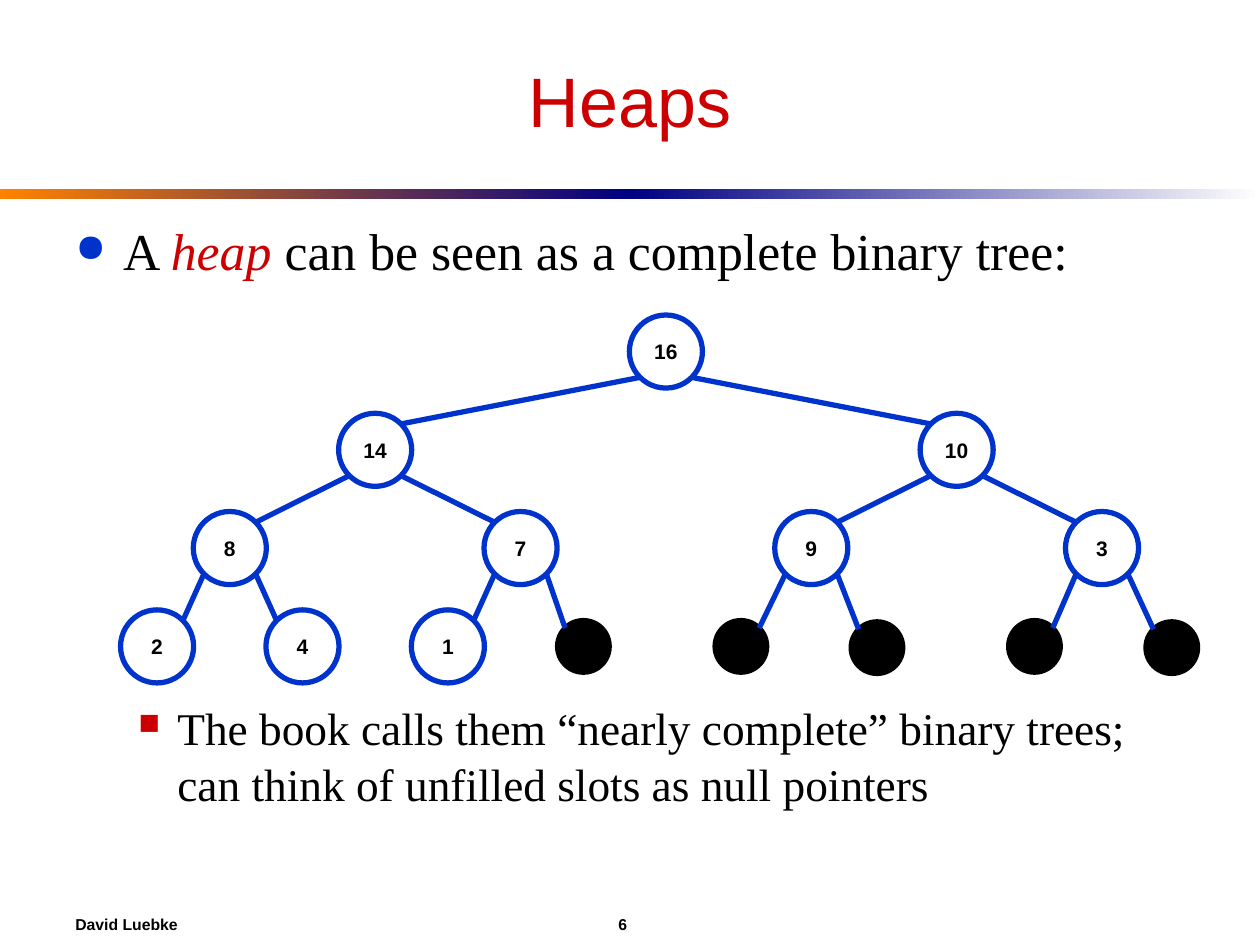
"""Build a slide that shows a heap as a complete binary tree."""
import math

from lxml import etree
from pptx import Presentation
from pptx.dml import color
from pptx.enum import shapes, text
from pptx.oxml import ns
from pptx.util import Inches, Pt

TITLE = "Heaps"
BULLETS = [
    dict(mark="●", mark_color="accent", mark_size=75, indent=0.38, hang=0.38,
         size="body", before=0,
         runs=[("A ", False), ("heap", True),
               (" can be seen as a complete binary tree:", False)]),
    dict(mark="■", mark_color="key", mark_size=65, indent=0.81, hang=0.31,
         size="detail", before=238,
         runs=[("The book calls them “nearly complete” binary trees; "
                "can think of unfilled slots as null pointers", False)]),
]
HEAP = ["16", "14", "10", "8", "7", "9", "3", "2", "4", "1"]
NULL_CENTERS = [(4.63, 5.13), (5.88, 5.13), (6.96, 5.14), (8.21, 5.13), (9.3, 5.14)]
FOOTER = "David Luebke\t6"
THEME = dict(
    ink="000000", paper="FFFFFF", accent="0033CC", key="CC0000",
    bar=["FF8200", "000082", "FFFFFF"],
    heading_font="Arial", body_font="Times New Roman",
    title=40, body=29.6, detail=25.9, node=12, footer=9, line=3,
)
TREE_LEFT, TREE_WIDTH, ROOT_Y, LEVEL_GAP = 0.67, 9.23, 2.79, 0.78
NODE_SIZE, NULL_SIZE = 0.58, 0.41


def rgb(name):
    return color.RGBColor.from_string(THEME.get(name, name))


def assign(target, **values):
    for key, value in values.items():
        setattr(target, key, value)


def write(paragraph, words, size, font="heading_font", ink="ink", **style):
    run = paragraph.add_run()
    run.text = words
    assign(run.font, name=THEME[font], size=Pt(THEME[size]), **style)
    run.font.color.rgb = rgb(ink)


def add_box(slide, left, top, width, height, **frame_values):
    frame = slide.shapes.add_textbox(*map(Inches, (left, top, width, height))).text_frame
    assign(frame, word_wrap=True, **frame_values)
    return frame


def add_child(paragraph, parent, tag, **values):
    child = etree.SubElement(parent, ns.qn(tag))
    for key, value in values.items():
        child.set(key, str(value))
    return child


def add_bullet(paragraph, bullet):
    props = paragraph._p.get_or_add_pPr()
    assign(paragraph, line_spacing=1.04, space_before=Pt(bullet["before"]))
    props.set("marL", str(Inches(bullet["indent"])))
    props.set("indent", str(-Inches(bullet["hang"])))
    tint = add_child(paragraph, props, "a:buClr")
    add_child(paragraph, tint, "a:srgbClr", val=THEME[bullet["mark_color"]])
    add_child(paragraph, props, "a:buSzPct", val=bullet["mark_size"] * 1000)
    add_child(paragraph, props, "a:buChar", char=bullet["mark"])
    for words, is_term in bullet["runs"]:
        write(paragraph, words, bullet["size"], "body_font",
              "key" if is_term else "ink", italic=is_term)


def add_bar(slide):
    for half, ends in enumerate(zip(THEME["bar"], THEME["bar"][1:])):
        bar = slide.shapes.add_shape(shapes.MSO_SHAPE.RECTANGLE, Inches(5 * half),
                                     Inches(1.5), Inches(5), Inches(0.08))
        bar.shadow.inherit = False
        bar.line.fill.background()
        bar.fill.gradient()
        bar.fill.gradient_angle = 0
        for position, (stop, end) in enumerate(zip(bar.fill.gradient_stops, ends)):
            stop.color.rgb = rgb(end)
            stop.position = position


def slot_center(index):
    if index >= len(HEAP):
        return NULL_CENTERS[index - len(HEAP)]
    level = int(math.log2(index + 1))
    place = index + 1 - 2 ** level
    return (TREE_LEFT + TREE_WIDTH * (2 * place + 1) / 2 ** (level + 1),
            ROOT_Y + LEVEL_GAP * level)


def slot_size(index):
    return NODE_SIZE if index < len(HEAP) else NULL_SIZE


def add_slot(slide, index):
    is_node, size = index < len(HEAP), slot_size(index)
    corner = [Inches(middle - size / 2) for middle in slot_center(index)]
    slot = slide.shapes.add_shape(shapes.MSO_SHAPE.OVAL, *corner, Inches(size), Inches(size))
    slot.shadow.inherit = False
    slot.fill.solid()
    slot.fill.fore_color.rgb = rgb("paper" if is_node else "ink")
    slot.line.color.rgb = rgb("accent" if is_node else "ink")
    slot.line.width = Pt(THEME["line"])
    if is_node:
        assign(slot.text_frame, word_wrap=False, vertical_anchor=text.MSO_ANCHOR.MIDDLE)
        value = slot.text_frame.paragraphs[0]
        value.alignment = text.PP_ALIGN.CENTER
        write(value, HEAP[index], "node", bold=True)


def add_edge(slide, child):
    parent = (child - 1) // 2
    side = -1 if child % 2 else 1
    (parent_x, parent_y), (child_x, child_y) = slot_center(parent), slot_center(child)
    out, into = (slot_size(slot) / 2 * math.sqrt(0.5) for slot in (parent, child))
    ends = (parent_x + side * out, parent_y + out, child_x - side * into, child_y - into)
    edge = slide.shapes.add_connector(shapes.MSO_CONNECTOR.STRAIGHT, *map(Inches, ends))
    edge.line.color.rgb = rgb("accent")
    edge.line.width = Pt(THEME["line"])
    etree.SubElement(edge._element.spPr, ns.qn("a:effectLst"))


def main():
    deck = Presentation()
    assign(deck, slide_width=Inches(10), slide_height=Inches(7.5))
    slide = deck.slides.add_slide(deck.slide_layouts[6])
    add_bar(slide)

    footer = add_box(slide, 0.5, 7.17, 9, 0.33,
                     vertical_anchor=text.MSO_ANCHOR.MIDDLE).paragraphs[0]
    tabs = add_child(footer, footer._p.get_or_add_pPr(), "a:tabLst")
    add_child(footer, tabs, "a:tab", pos=Inches(4.31), algn="l")
    write(footer, FOOTER, "footer", bold=True)

    body = add_box(slide, 0.5, 1.67, 9, 4.75)
    for order, bullet in enumerate(BULLETS):
        add_bullet(body.add_paragraph() if order else body.paragraphs[0], bullet)

    title = add_box(slide, 0.5, 0.25, 9, 1.08,
                    vertical_anchor=text.MSO_ANCHOR.MIDDLE).paragraphs[0]
    title.alignment = text.PP_ALIGN.CENTER
    write(title, TITLE, "title", ink="key")

    slots = range(len(HEAP) + len(NULL_CENTERS))
    for index in slots:
        add_slot(slide, index)
    for child in slots[1:]:
        add_edge(slide, child)
    deck.save("out.pptx")


if __name__ == "__main__":
    main()
